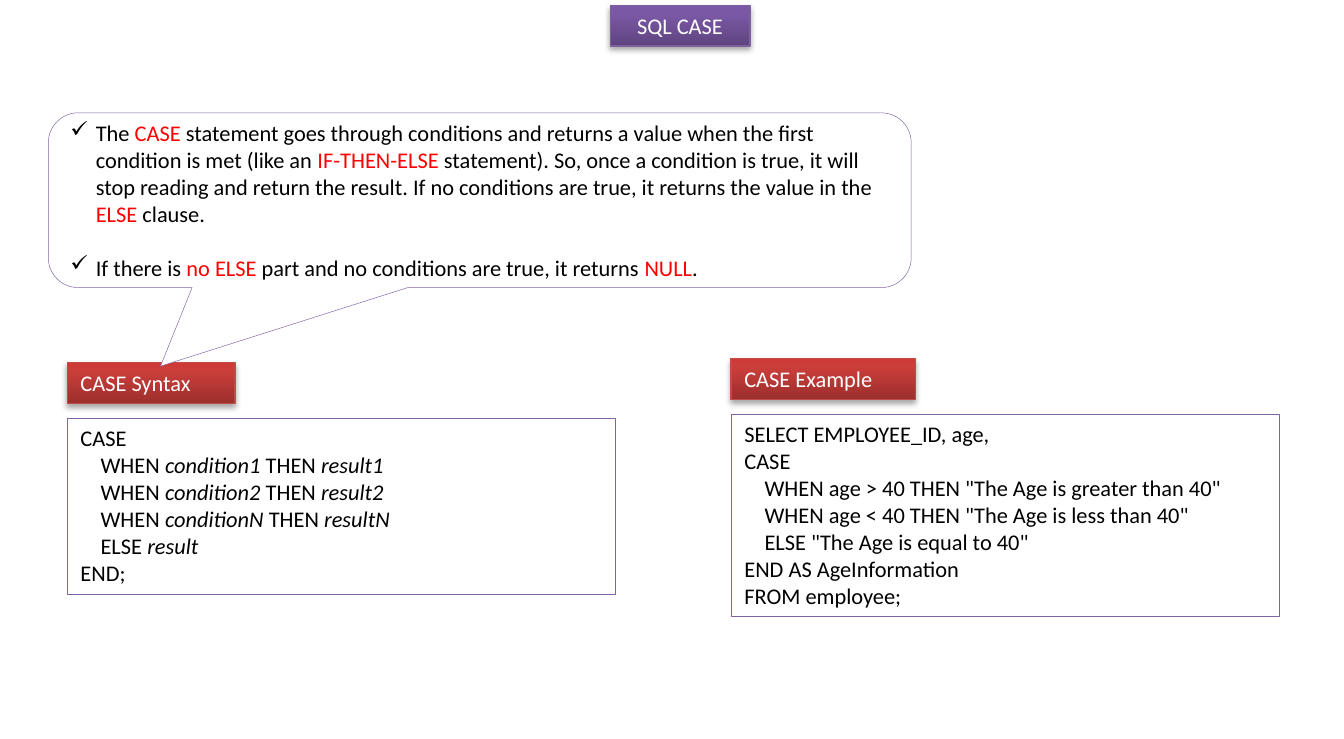
"""Build a slide that explains the SQL CASE expression with its syntax and an example."""
import copy

from lxml import etree
from pptx import Presentation
from pptx import util as u
from pptx.dml.color import RGBColor
from pptx.enum import shapes, text
from pptx.oxml import parse_xml
from pptx.oxml.ns import nsdecls, qn

COLORS = {"white": "FFFFFF", "black": "000000", "red": "FF0000", "outline": "8064A2",
          "purple_edge": "7D60A0", "red_edge": "BF4C48"}
GRADIENTS = {"purple_edge": ["5F4480", "7B58A6", "7C57A8"],
             "red_edge": ["9C2F2D", "CB3E3A", "CE3B37"]}
SHADOW = (f'<a:outerShdw {nsdecls("a")} blurRad="40000" dist="23000" dir="5400000" '
          f'rotWithShape="0"><a:srgbClr val="{COLORS["black"]}">'
          '<a:alpha val="35000"/></a:srgbClr></a:outerShdw>')

prs = Presentation()
prs.slide_width, prs.slide_height = u.Inches(10), u.Inches(5.5)
COL, ROW = prs.slide_width / 100, prs.slide_height / 100
s = prs.slides.add_slide(prs.slide_layouts[5])


def dress(sp, col, row, cols, rows, edge="outline"):
    sp.left, sp.top = int(col * COL), int(row * ROW)
    sp.width, sp.height = int(cols * COL), int(rows * ROW)
    sp.shadow.inherit = False
    sp.line.color.rgb = RGBColor.from_string(COLORS[edge])
    sp.line.width = u.Pt(0.75 if edge in GRADIENTS else 0.25)
    if edge not in GRADIENTS:
        sp.fill.solid()
        sp.fill.fore_color.rgb = RGBColor.from_string(COLORS["white"])
        return
    sp.fill.gradient()
    sp.fill.gradient_angle = 90
    gs = sp._element.spPr.find(".//" + qn("a:gs"))
    gs.addnext(copy.deepcopy(gs))
    for stop, position, color in zip(sp.fill.gradient_stops, (0, 0.8, 1), GRADIENTS[edge]):
        stop.position = position
        stop.color.rgb = RGBColor.from_string(color)
    sp._element.spPr.find(qn("a:effectLst")).append(parse_xml(SHADOW))


def write(sp, content, color="black", accent="black", italic=False, bullet=None, gap=0,
          align=text.PP_ALIGN.LEFT, anchor=text.MSO_ANCHOR.TOP):
    tf = sp.text_frame
    tf.word_wrap, tf.auto_size, tf.vertical_anchor = True, text.MSO_AUTO_SIZE.NONE, anchor
    for i, line in enumerate(content.split("\n")):
        p = tf.add_paragraph() if i else tf.paragraphs[0]
        p.alignment = align
        p.space_before = u.Pt(gap if i else 0)
        if bullet:
            pPr = p._p.get_or_add_pPr()
            pPr.set("marL", str(u.Inches(0.19)))
            pPr.set("indent", str(-u.Inches(0.19)))
            etree.SubElement(pPr, qn("a:buChar")).set("char", bullet)
        for j, piece in enumerate(line.split("*")):
            if piece:
                r = p.add_run()
                r.text = piece
                r.font.name, r.font.size = "Calibri", u.Pt(12)
                r.font.italic = italic and j % 2 == 1
                r.font.color.rgb = RGBColor.from_string(COLORS[accent if j % 2 else color])


title = s.shapes.title
dress(title, 45.4, 0.73, 10.4, 5.5, edge="purple_edge")
write(title, "SQL CASE", color="white", align=text.PP_ALIGN.CENTER)

SYNTAX = """CASE
    WHEN *condition1* THEN *result1*
    WHEN *condition2* THEN *result2*
    WHEN *conditionN* THEN *resultN*
    ELSE *result*
END;"""
EXAMPLE = """SELECT EMPLOYEE_ID, age,
CASE
    WHEN age > 40 THEN "The Age is greater than 40"
    WHEN age < 40 THEN "The Age is less than 40"
    ELSE "The Age is equal to 40"
END AS AgeInformation
FROM employee;"""

for heading, code, col, row, rows, label_cols in (
        ("CASE Syntax", SYNTAX, 5, 56.55, 23.8, 12.5),
        ("CASE Example", EXAMPLE, 54.4, 56, 27.45, 13.7)):
    panel = s.shapes.add_shape(shapes.MSO_SHAPE.RECTANGLE, 0, 0, 0, 0)
    dress(panel, col, row, 40.8, rows)
    write(panel, code, italic=True)
    label = s.shapes.add_shape(shapes.MSO_SHAPE.RECTANGLE, 0, 0, 0, 0)
    dress(label, col, row - 7.45, label_cols, 5.5, edge="red_edge")
    write(label, heading, color="white")

callout = s.shapes.add_shape(shapes.MSO_SHAPE.ROUNDED_RECTANGULAR_CALLOUT, 0, 0, 0, 0)
dress(callout, 3.6, 15.27, 64.2, 23.64)
for i, value in enumerate((-0.37, 0.95, 0.17)):
    callout.adjustments[i] = value
write(callout,
      "The *CASE* statement goes through conditions and returns a value when the first "
      "condition is met (like an *IF-THEN-ELSE* statement). So, once a condition is true, "
      "it will stop reading and return the result. If no conditions are true, it returns "
      "the value in the *ELSE* clause.\n"
      "If there is *no ELSE* part and no conditions are true, it returns *NULL*.",
      accent="red", bullet="✓", gap=14.5, anchor=text.MSO_ANCHOR.MIDDLE)

prs.save("out.pptx")
